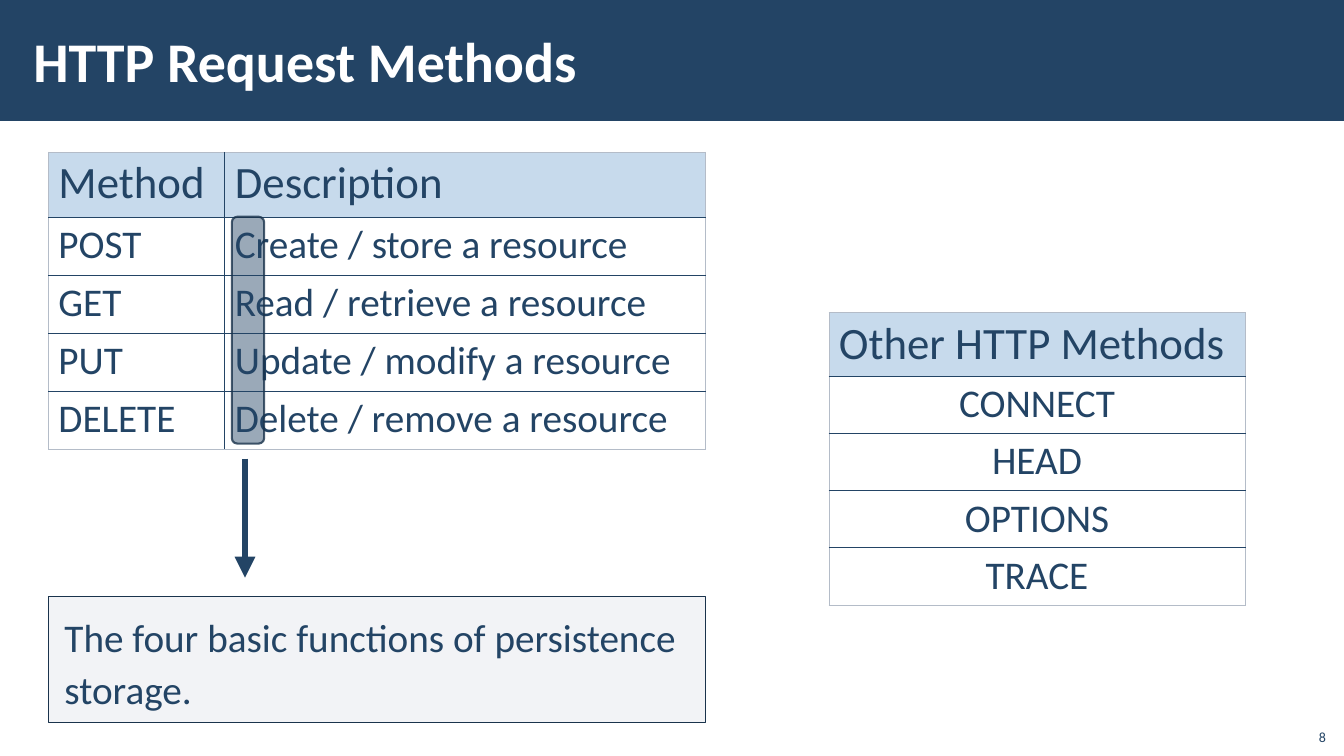
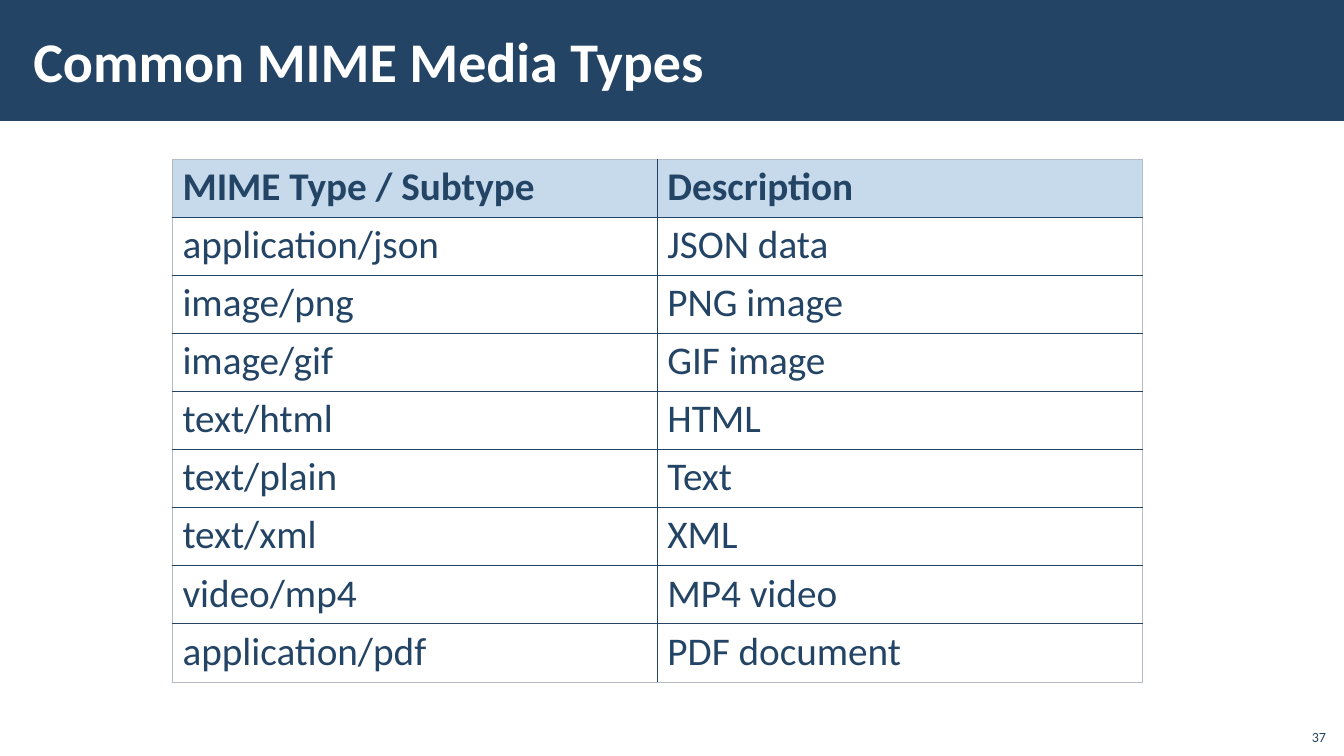
import lxml.etree
import pptx
import pptx.dml.color
import pptx.enum.shapes
import pptx.enum.text
import pptx.oxml.ns
import pptx.util

WIDE, HIGH = 13.33, 7.5
NAVY, DARK, PALE = "234465", "1A334C", "C7DAEC"
WHITE, GREY, EDGE = "FFFFFF", "ADB4C3", "B4BCC8"
KINDS = pptx.enum.shapes.MSO_SHAPE
ALIGN = pptx.enum.text.PP_ALIGN
ANCHOR = pptx.enum.text.MSO_ANCHOR
TITLE = {"name": "Calibri", "size": pptx.util.Pt(40), "bold": True}
HEAD = {"name": "Calibri", "size": pptx.util.Pt(32), "bold": False}
BODY = {"name": "Calibri", "size": pptx.util.Pt(28), "bold": False}
STRONG = {**BODY, "bold": True}
SMALL = {**BODY, "size": pptx.util.Pt(10)}
qn = pptx.oxml.ns.qn


def across(share):
    return pptx.util.Inches(WIDE * share / 100)


def down(share):
    return pptx.util.Inches(HIGH * share / 100)


def area(left, top, wide, high):
    return across(left), down(top), across(wide), down(high)


def color(code):
    return pptx.dml.color.RGBColor.from_string(code)


def apply(item, values):
    for key, value in values.items():
        setattr(item, key, value)


def write(frame, text, style, code=NAVY, align=ALIGN.LEFT, **values):
    para = frame.paragraphs[0]
    apply(para, {"alignment": align, **values})
    run = para.add_run()
    run.text = text
    apply(run.font, style)
    run.font.color.rgb = color(code)


def inset(frame, side, ends, anchor):
    side, ends = pptx.util.Inches(side), pptx.util.Inches(ends)
    apply(frame, {"margin_left": side, "margin_right": side,
                  "margin_top": ends, "margin_bottom": ends,
                  "vertical_anchor": anchor, "word_wrap": True})


def fade(parent, share):
    hue = parent.find(qn("a:solidFill"))[0]
    lxml.etree.SubElement(hue, qn("a:alpha"), val=str(share * 1000))


def panel(slide, kind, place, fill, alpha=100, line=None, width=1):
    shape = slide.shapes.add_shape(kind, *area(*place))
    shape.shadow.inherit = False
    shape.fill.solid()
    shape.fill.fore_color.rgb = color(fill)
    if alpha < 100:
        fade(shape.element.spPr, alpha)
    if line:
        shape.line.color.rgb = color(line)
        shape.line.width = pptx.util.Pt(width)
    else:
        shape.line.fill.background()
    return shape


def border(cell, side, code, width):
    props = cell._tc.get_or_add_tcPr()
    line = lxml.etree.SubElement(props, qn("a:" + side), w=str(pptx.util.Pt(width)))
    fill = lxml.etree.SubElement(line, qn("a:solidFill"))
    lxml.etree.SubElement(fill, qn("a:srgbClr"), val=code)


def grid(slide, left, top, cols, head, step, rows, style=HEAD, align=ALIGN.LEFT):
    highs = [head] + [step] * (len(rows) - 1)
    frame = slide.shapes.add_table(len(rows), len(cols),
                                   *area(left, top, sum(cols), sum(highs)))
    table = frame.table
    apply(table, {"first_row": False, "horz_banding": False})
    for col, wide in zip(table.columns, cols):
        col.width = across(wide)
    for row, high in zip(table.rows, highs):
        row.height = down(high)
    for r, texts in enumerate(rows):
        for c, text in enumerate(texts):
            cell = table.cell(r, c)
            outer = {"lnL": c == 0, "lnR": c == len(cols) - 1,
                     "lnT": r == 0, "lnB": r == len(rows) - 1}
            for side, rim in outer.items():
                border(cell, side, EDGE if rim else NAVY, 0.5 if rim else 1)
            apply(cell, {"margin_top": pptx.util.Inches(0.04),
                         "margin_bottom": pptx.util.Inches(0.04)})
            if r == 0:
                cell.fill.solid()
                cell.fill.fore_color.rgb = color(PALE)
                write(cell.text_frame, text, style)
            else:
                cell.fill.background()
                write(cell.text_frame, text, BODY, align=align)


def arrow(slide, left, top, end):
    line = slide.shapes.add_connector(
        pptx.enum.shapes.MSO_CONNECTOR.STRAIGHT,
        across(left), down(top), across(left), down(end))
    line.line.color.rgb = color(NAVY)
    line.line.width = pptx.util.Pt(5)
    props = line.element.spPr
    lxml.etree.SubElement(props.find(qn("a:ln")), qn("a:tailEnd"), type="triangle")
    lxml.etree.SubElement(props, qn("a:effectLst"))


def band(deck, slide):
    shape = panel(slide, KINDS.RECTANGLE, (0, 0, 100, 16), NAVY)
    deck.slide_master.element.cSld.spTree.insert(2, shape.element)


def start(deck, title, number):
    slide = deck.slides.add_slide(deck.slide_layouts[5])
    head = slide.shapes.title
    left, top, wide, high = area(1.58, 1.47, 79, 12.93)
    apply(head, {"left": left, "top": top, "width": wide, "height": high})
    inset(head.text_frame, 0.12, 0.04, ANCHOR.MIDDLE)
    write(head.text_frame, title, TITLE, WHITE)
    foot = slide.shapes.add_textbox(*area(96.4, 94.93, 3, 4.27))
    inset(foot.text_frame, 0.1, 0.05, ANCHOR.BOTTOM)
    write(foot.text_frame, number, SMALL, align=ALIGN.RIGHT)
    return slide


def verbs(slide):
    grid(slide, 3.6, 20.13, [13.13, 35.78], 8.6, 7.68, [
        ("Method", "Description"),
        ("POST", "Create / store a resource"),
        ("GET", "Read / retrieve a resource"),
        ("PUT", "Update / modify a resource"),
        ("DELETE", "Delete / remove a resource")])
    mark = panel(slide, KINDS.ROUNDED_RECTANGLE, (17.25, 28.67, 2.4, 30),
                 NAVY, 46, DARK, 1.5)
    fade(mark.element.spPr.find(qn("a:ln")), 80)
    arrow(slide, 18.23, 60.67, 76.4)
    note = panel(slide, KINDS.RECTANGLE, (3.6, 78.93, 48.91, 16.67), GREY, 15, DARK)
    inset(note.text_frame, 0.16, 0.12, ANCHOR.TOP)
    write(note.text_frame, "The four basic functions of persistence storage.",
          BODY, line_spacing=1.1)
    others = ["Other HTTP Methods", "CONNECT", "HEAD", "OPTIONS", "TRACE"]
    grid(slide, 61.67, 41.33, [30.98], 8.47, 7.56,
         [(name,) for name in others], align=ALIGN.CENTER)


def media(slide):
    grid(slide, 12.83, 21.07, [36.08] * 2, 7.68, 7.68, [
        ("MIME Type / Subtype", "Description"),
        ("application/json", "JSON data"),
        ("image/png", "PNG image"),
        ("image/gif", "GIF image"),
        ("text/html", "HTML"),
        ("text/plain", "Text"),
        ("text/xml", "XML"),
        ("video/mp4", "MP4 video"),
        ("application/pdf", "PDF document")], STRONG)


def main():
    deck = pptx.Presentation()
    apply(deck, {"slide_width": across(100), "slide_height": down(100)})
    first = start(deck, "HTTP Request Methods", "8")
    band(deck, first)
    verbs(first)
    media(start(deck, "Common MIME Media Types", "37"))
    deck.save("out.pptx")


if __name__ == "__main__":
    main()
